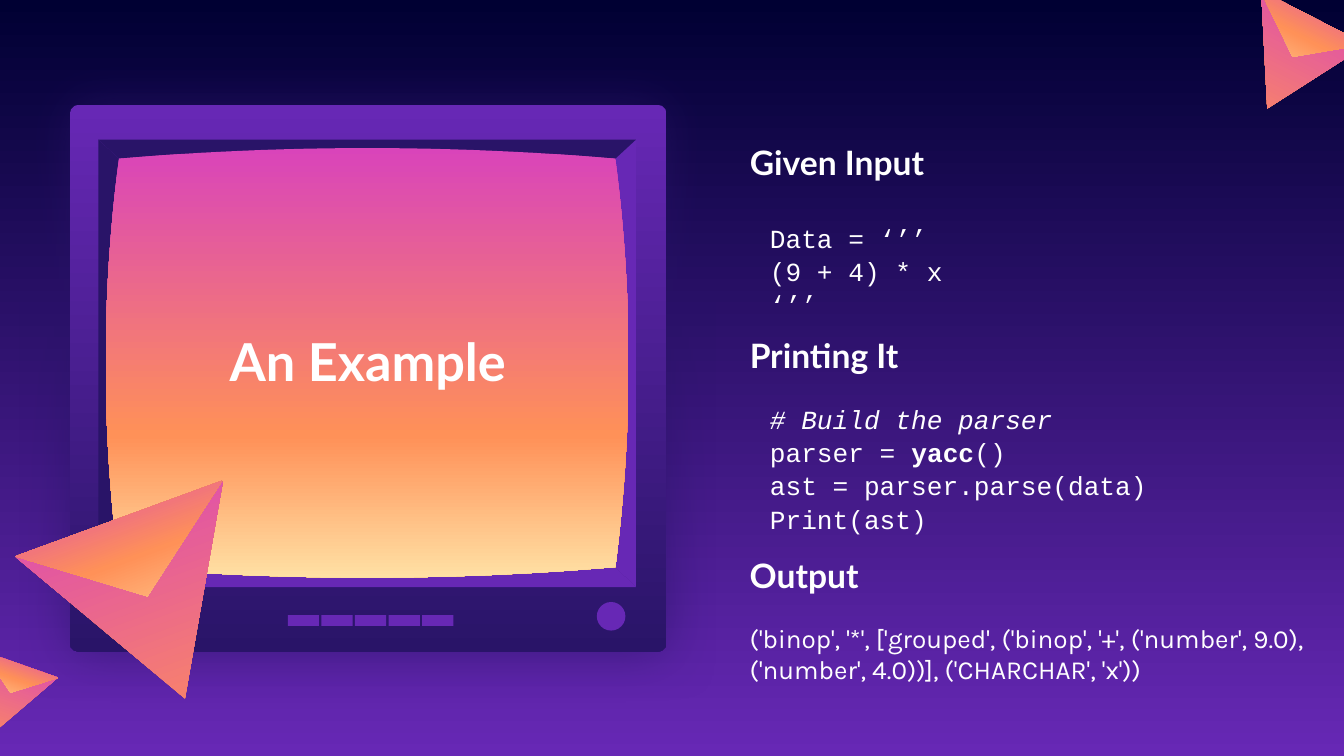
from lxml import etree
from pptx import Presentation
from pptx.dml.color import RGBColor
from pptx.enum.shapes import MSO_SHAPE
from pptx.enum.text import MSO_ANCHOR, MSO_AUTO_SIZE, PP_ALIGN
from pptx.oxml.ns import qn
from pptx.util import Cm, Pt

RECT, ROUNDED = MSO_SHAPE.RECTANGLE, MSO_SHAPE.ROUNDED_RECTANGLE
OVAL, TRIANGLE = MSO_SHAPE.OVAL, MSO_SHAPE.ISOSCELES_TRIANGLE
TOP, MIDDLE, BOTTOM = MSO_ANCHOR.TOP, MSO_ANCHOR.MIDDLE, MSO_ANCHOR.BOTTOM
LEFT, CENTER = PP_ALIGN.LEFT, PP_ALIGN.CENTER
NO_AUTOFIT = MSO_AUTO_SIZE.NONE

NAVY, PURPLE, DARK = "000033", "6728B5", "291468"
PINK, ORANGE, CREAM, WHITE = "D944BA", "FF9158", "FFE0A4", "FFFFFF"


def paint(fill, element, stops):
    """Solid fill for a hex string, downward gradient for (percent, hex) pairs."""
    if isinstance(stops, str):
        fill.solid()
        fill.fore_color.rgb = RGBColor.from_string(stops)
        return
    fill.gradient()
    fill.gradient_angle = 270
    stop_list = element.find(".//" + qn("a:gsLst"))
    for old in list(stop_list):
        stop_list.remove(old)
    for percent, color in stops:
        gs = etree.SubElement(stop_list, qn("a:gs"), pos=str(percent * 1000))
        etree.SubElement(gs, qn("a:srgbClr"), val=color)


def add_run(p, text, size=14, font="Courier New", color=WHITE, bold=False, italic=False):
    r = p.add_run()
    r.text = text
    r.font.size, r.font.name = Pt(size), font
    r.font.bold, r.font.italic = bold, italic
    paint(r.font.fill, r._r, color)


prs = Presentation()
prs.slide_width, prs.slide_height = Cm(25.4), Cm(14.29)
s = prs.slides.add_slide(prs.slide_layouts[4])

# Background
paint(s.background.fill, s._element, [(0, NAVY), (100, PURPLE)])

# Television case, light, knob and buttons
parts = [
    (ROUNDED, 1.32, 1.98, 11.28, 10.34, 0, [(0, PURPLE), (100, DARK)]),
    (OVAL, 1.91, 11.53, 0.2, 0.2, 0, PINK),
    (OVAL, 11.28, 11.38, 0.54, 0.54, 0, PURPLE),
]
parts += [(RECT, 5.44 + 0.635 * i, 11.63, 0.59, 0.2, 0, PURPLE) for i in range(5)]

# Bevelled frame around the screen
x1, y1, x2, y2 = 1.86, 2.64, 12.02, 11.1
u1, v1, u2, v2 = 2.25, 3.0, 11.63, 10.72
outlines = [
    ([(x2, y1), (u2, v1), (u2, v2), (x2, y2)], PURPLE),
    ([(x1, y1), (u1, v1), (u2, v1), (x2, y1)], DARK),
    ([(u1, v2), (x1, y2), (x2, y2), (u2, v2)], PURPLE),
    ([(x1, y1), (x1, y2), (u1, v2), (u1, v1)], DARK),
]

# Screen whose four sides bulge as parabolas
steps = [i / 12 for i in range(-12, 12)]
mid_x, mid_y = (u1 + u2) / 2, (v1 + v2) / 2
half_w, half_h = (u2 - u1) / 2, (v2 - v1) / 2
screen = []
for side in (-1, 1):
    screen += [(mid_x - side * t * half_w, mid_y + side * (half_h + 0.2 * (1 - t * t)))
               if side == 1 else
               (mid_x + t * half_w, mid_y - half_h - 0.2 * (1 - t * t)) for t in steps]
    screen += [(mid_x - side * (half_w + 0.25 * (1 - t * t)), mid_y - side * t * half_h)
               for t in steps]
outlines.append((screen, [(0, PINK), (67, ORANGE), (100, CREAM)]))

# Pyramids: a large face and a flatter, lighter one
pyramids = [
    (0.79, 9.7, 4.17, 3.61, 159.9, 0.43, 9.75, 1.57),
    (-0.58, 12.52, 1.5, 1.3, 199.4, -0.46, 12.55, 0.56),
    (23.27, 0.23, 2.24, 1.93, 207.2, 23.5, 0.28, 0.84),
]
faces = []
for x, y, w, h, angle, top_x, top_y, top_h in pyramids:
    faces.append((TRIANGLE, x, y, w, h, angle, [(0, ORANGE), (100, PINK)]))
    faces.append((TRIANGLE, top_x, top_y, w, top_h, angle,
                  [(0, CREAM), (50, ORANGE), (100, PINK)]))

# Draw everything from back to front
drawn = []
for group in (parts, outlines, faces):
    for item in group:
        if group is outlines:
            points = [(Cm(x), Cm(y)) for x, y in item[0]]
            builder = s.shapes.build_freeform(*points[0])
            builder.add_line_segments(points[1:], close=True)
            sp = builder.convert_to_shape()
        else:
            kind, x, y, w, h, angle, _ = item
            sp = s.shapes.add_shape(kind, Cm(x), Cm(y), Cm(w), Cm(h))
            sp.rotation = angle
        paint(sp.fill, sp._element, item[-1])
        sp.line.fill.background()
        sp.shadow.inherit = False
        drawn.append(sp)

# Rounded corners and soft shadow of the case
case = drawn[0]
case.adjustments[0] = 0.017
effects = case._element.spPr.find(qn("a:effectLst"))
shadow = etree.SubElement(effects, qn("a:outerShdw"), blurRad=str(Pt(28.1)),
                          algn="bl", rotWithShape="0")
color = etree.SubElement(shadow, qn("a:srgbClr"), val=DARK)
etree.SubElement(color, qn("a:alpha"), val="63000")

# Texts: box, anchor, alignment, lines of runs
heading = dict(size=18, font="Lato", bold=True)
texts = [
    (2.49, 4.8, 8.92, 4.04, MIDDLE, CENTER,
     [[("An Example", dict(size=28, font="Lato", bold=True))]]),
    (13.92, 2.57, 8.51, 1.12, BOTTOM, LEFT, [[("Given Input", heading)]]),
    (13.92, 3.91, 9.68, 2.34, TOP, LEFT,
     [[("Data = ‘’’", {})], [("(9 + 4) * x", {})], [("‘’’", {})]]),
    (13.92, 6.22, 8.51, 1.12, BOTTOM, LEFT, [[("Printing It", heading)]]),
    (13.92, 7.34, 8.51, 3.02, TOP, LEFT,
     [[("# Build the parser", dict(italic=True))],
      [("parser = ", {}), ("yacc", dict(bold=True)), ("()", {})],
      [("ast = parser.parse(data)", {})],
      [("Print(ast)", {})]]),
    (13.92, 10.39, 8.51, 1.12, BOTTOM, LEFT, [[("Output", heading)]]),
    (13.92, 11.51, 11.2, 2.21, TOP, LEFT,
     [[("('binop', '*', ['grouped', ('binop', '+', ('number', 9.0), "
        "('number', 4.0))], ('CHARCHAR', 'x'))", dict(font="Karla"))]]),
]
placeholders = list(s.placeholders)
for i, (x, y, w, h, anchor, align, lines) in enumerate(texts):
    box = Cm(x), Cm(y), Cm(w), Cm(h)
    if i < len(placeholders):
        sp = placeholders[i]
        sp.left, sp.top, sp.width, sp.height = box
        s.shapes._spTree.append(sp._element)  # bring in front of the drawing
    else:
        sp = s.shapes.add_textbox(*box)
    tf = sp.text_frame
    tf.word_wrap, tf.auto_size, tf.vertical_anchor = True, NO_AUTOFIT, anchor
    tf.margin_left = tf.margin_right = tf.margin_top = tf.margin_bottom = Cm(0.25)
    for n, line in enumerate(lines):
        p = tf.paragraphs[0] if n == 0 else tf.add_paragraph()
        is_code = "font" not in line[0][1]
        p.alignment, p.space_before = align, Pt(0)
        p.line_spacing = 1.06 if is_code else 1.0
        pPr = p._p.get_or_add_pPr()
        pPr.set("marL", str(Cm(1.27) if is_code else 0))
        pPr.set("indent", str(Cm(-0.89) if is_code else 0))
        etree.SubElement(pPr, qn("a:buNone"))
        for text, fmt in line:
            add_run(p, text, **fmt)

prs.save("out.pptx")
